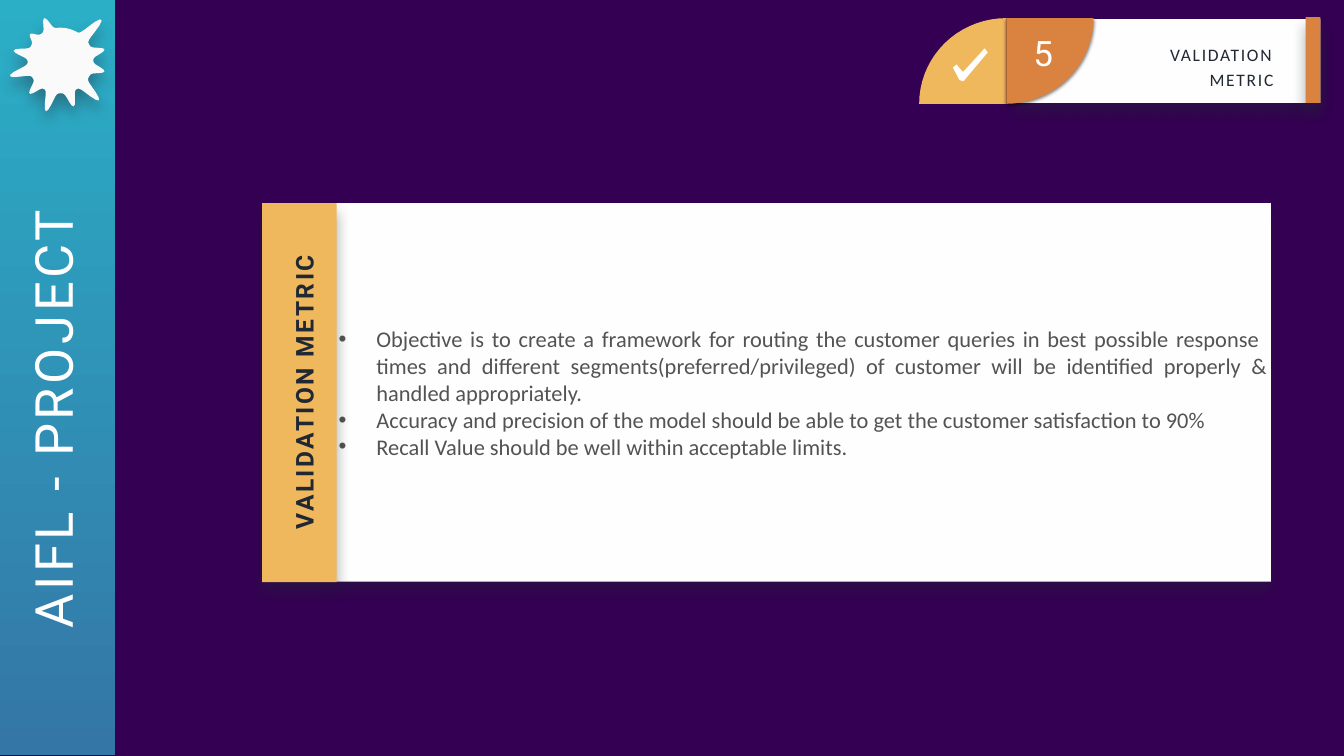
"""Build the validation metric slide of the AIFL project deck."""
from math import cos, exp, radians, sin

from lxml import etree
from pptx import Presentation
from pptx.dml.color import RGBColor
from pptx.enum.shapes import MSO_SHAPE
from pptx.enum.text import MSO_ANCHOR, MSO_AUTO_SIZE, PP_ALIGN
from pptx.oxml.ns import qn
from pptx.util import Inches, Pt

RECTANGLE = MSO_SHAPE.RECTANGLE
MIDDLE = MSO_ANCHOR.MIDDLE
GROW = MSO_AUTO_SIZE.SHAPE_TO_FIT_TEXT
CENTER, RIGHT, JUSTIFY = PP_ALIGN.CENTER, PP_ALIGN.RIGHT, PP_ALIGN.JUSTIFY

THEME = {
    "background": "340053", "panel": "FEFEFE", "splash": "FAFAFA", "white": "FFFFFF",
    "amber": "F0B85D", "orange": "DA8341", "dark": "202833", "body": "535353",
    "gradient": ("2BAFC7", "3476A6"),
    "heading_font": "Roboto", "body_font": "Calibri",
    "title_size": 75, "number_size": 50, "label_size": 35, "body_size": 32, "tag_size": 25,
    "soft_shadow": ("202833", 39, 20, 12.8), "tight_shadow": ("000000", 50, 5, 2),
}
INSET, BULLET_INDENT = 0.06, 0.75

BULLETS = [
    "Objective is to create a framework for routing the customer queries in best possible response  "
    "times and different segments(preferred/privileged) of customer will be identified properly & "
    "handled appropriately.",
    "Accuracy and precision of the model should be able to get the customer satisfaction to 90%",
    "Recall Value should be well within acceptable limits.",
]
BODY = {"size": "body_size", "font": "body_font", "color": "body", "align": JUSTIFY}
TAG = {"size": "tag_size", "font": "body_font", "color": "dark", "align": RIGHT,
       "line": 1.2, "spc": 250}
NUMBER = {"size": "number_size", "font": "heading_font", "color": "white", "align": CENTER,
          "line": 0.9, "spc": 500}
LABEL = {"size": "label_size", "font": "heading_font", "color": "dark", "align": CENTER,
         "line": 1.3, "spc": 350, "bold": True}
TITLE = {"size": "title_size", "font": "heading_font", "color": "white", "align": CENTER,
         "line": 0.9, "spc": 520}

LEAF_CORNER, LEAF_RADIUS = (19.97, 0.36), (1.73, 1.7)
CHECK_MARK = [(19.54, 0.96), (19.11, 1.43), (18.98, 1.28), (18.91, 1.34),
              (19.04, 1.59), (19.12, 1.61), (19.6, 1.04)]
SPLASH_CENTER, SPLASH_RADIUS = (1.2, 1.2), 0.65
SPLASH_ARMS = {14: 0.9, 46: 1.1, 74: 0.95, 106: 1.05, 133: 0.9, 163: 1.05,
               192: 0.95, 221: 0.8, 249: 0.9, 315: 1.15, 346: 0.9}
ARM_WIDTH = 6


def leaf(corner, first_angle):
    arc = [tuple(middle + radius * turn(radians(angle))
                 for middle, radius, turn in zip(corner, LEAF_RADIUS, (cos, sin)))
           for angle in range(first_angle, first_angle + 91, 5)]
    return [corner] + arc


def splash():
    points = []
    for angle in range(0, 360, 2):
        radius = SPLASH_RADIUS
        for arm, reach in SPLASH_ARMS.items():
            gap = (angle - arm + 180) % 360 - 180
            radius += (reach - SPLASH_RADIUS) * exp(-(gap / ARM_WIDTH) ** 2)
        points.append(tuple(middle + radius * turn(radians(angle))
                            for middle, turn in zip(SPLASH_CENTER, (cos, sin))))
    return points


def add_child(parent, tag, **attributes):
    child = etree.SubElement(parent, qn(tag))
    for name, value in attributes.items():
        child.set(name, str(value))
    return child


def paint(shape, color=None, shadow=None):
    shape.shadow.inherit = False
    shape.line.fill.background()
    if color:
        shape.fill.solid()
        shape.fill.fore_color.rgb = RGBColor.from_string(THEME[color])
    if shadow:
        shade, opacity, blur, distance = THEME[shadow]
        effects = shape._element.spPr.find(qn("a:effectLst"))
        outer = add_child(effects, "a:outerShdw", blurRad=Pt(blur), dist=Pt(distance),
                          dir=90 * 60000, algn="t", rotWithShape=0)
        add_child(add_child(outer, "a:srgbClr", val=shade), "a:alpha", val=opacity * 1000)
    return shape


def add_rectangle(page, place, color=None, shadow=None):
    return paint(page.shapes.add_shape(RECTANGLE, *map(Inches, place)), color, shadow)


def add_outline(page, outline, color, shadow=None):
    points = [(Inches(x), Inches(y)) for x, y in outline]
    builder = page.shapes.build_freeform(*points[0])
    builder.add_line_segments(points[1:], close=True)
    paint(builder.convert_to_shape(), color, shadow)


def write(box, texts, style, wrap=True, bullets=False):
    frame = box.text_frame
    settings = {"word_wrap": wrap, "vertical_anchor": MIDDLE}
    settings.update({f"margin_{side}": Inches(INSET) for side in ("left", "top", "right", "bottom")})
    for name, value in settings.items():
        setattr(frame, name, value)
    for index, text in enumerate(texts):
        para = frame.add_paragraph() if index else frame.paragraphs[0]
        para.alignment = style["align"]
        para.line_spacing = style.get("line")
        span = para.add_run()
        span.text = text
        formats = {"name": THEME[style["font"]], "size": Pt(THEME[style["size"]]),
                   "bold": style.get("bold", False)}
        for name, value in formats.items():
            setattr(span.font, name, value)
        span.font.color.rgb = RGBColor.from_string(THEME[style["color"]])
        if "spc" in style:
            span._r.get_or_add_rPr().set("spc", str(style["spc"]))
        if bullets:
            properties = para._p.get_or_add_pPr()
            properties.set("marL", str(Inches(BULLET_INDENT)))
            properties.set("indent", str(-Inches(BULLET_INDENT)))
            add_child(properties, "a:buFont", typeface="Arial")
            add_child(properties, "a:buChar", char="•")


def add_text(page, place, text, style, rotation=0, wrap=True):
    box = page.shapes.add_textbox(*map(Inches, place))
    box.rotation = rotation
    write(box, [text], style, wrap)
    box.text_frame.auto_size = GROW


def main():
    deck = Presentation()
    deck.slide_width, deck.slide_height = Inches(26.67), Inches(15)
    page = deck.slides.add_slide(deck.slide_layouts[6])
    page.background.fill.solid()
    page.background.fill.fore_color.rgb = RGBColor.from_string(THEME["background"])

    add_rectangle(page, (20.14, 0.38, 6.06, 1.66), "panel", "soft_shadow")
    add_rectangle(page, (25.91, 0.34, 0.29, 1.7), "orange", "soft_shadow")
    left, top = LEAF_CORNER
    add_outline(page, leaf((left, top + LEAF_RADIUS[1]), 180), "amber")
    add_outline(page, leaf(LEAF_CORNER, 0), "orange", "tight_shadow")
    add_text(page, (22.68, 0.79, 2.65, 1), "VALIDATION METRIC", TAG)
    add_text(page, (20.41, 0.62, 0.58, 0.94), "5", NUMBER, wrap=False)

    panel = add_rectangle(page, (6.66, 4.03, 18.56, 7.51), "panel", "soft_shadow")
    write(panel, BULLETS, BODY, bullets=True)
    add_rectangle(page, (5.2, 4.03, 1.48, 7.52), "amber", "soft_shadow")
    add_text(page, (2.91, 7.44, 6.06, 0.69), "VALIDATION METRIC", LABEL, rotation=270)
    add_outline(page, CHECK_MARK, "white")

    sidebar = add_rectangle(page, (-0.04, -0.1, 2.32, 15.08))
    sidebar.fill.gradient()
    sidebar.fill.gradient_angle = 270
    for stop, color in zip(sidebar.fill.gradient_stops, THEME["gradient"]):
        stop.color.rgb = RGBColor.from_string(color)
    add_text(page, (-4.57, 7.64, 11.36, 1.36), "AIFL - PROJECT", TITLE, rotation=270)
    add_outline(page, splash(), "splash", "soft_shadow")
    deck.save("out.pptx")


if __name__ == "__main__":
    main()
